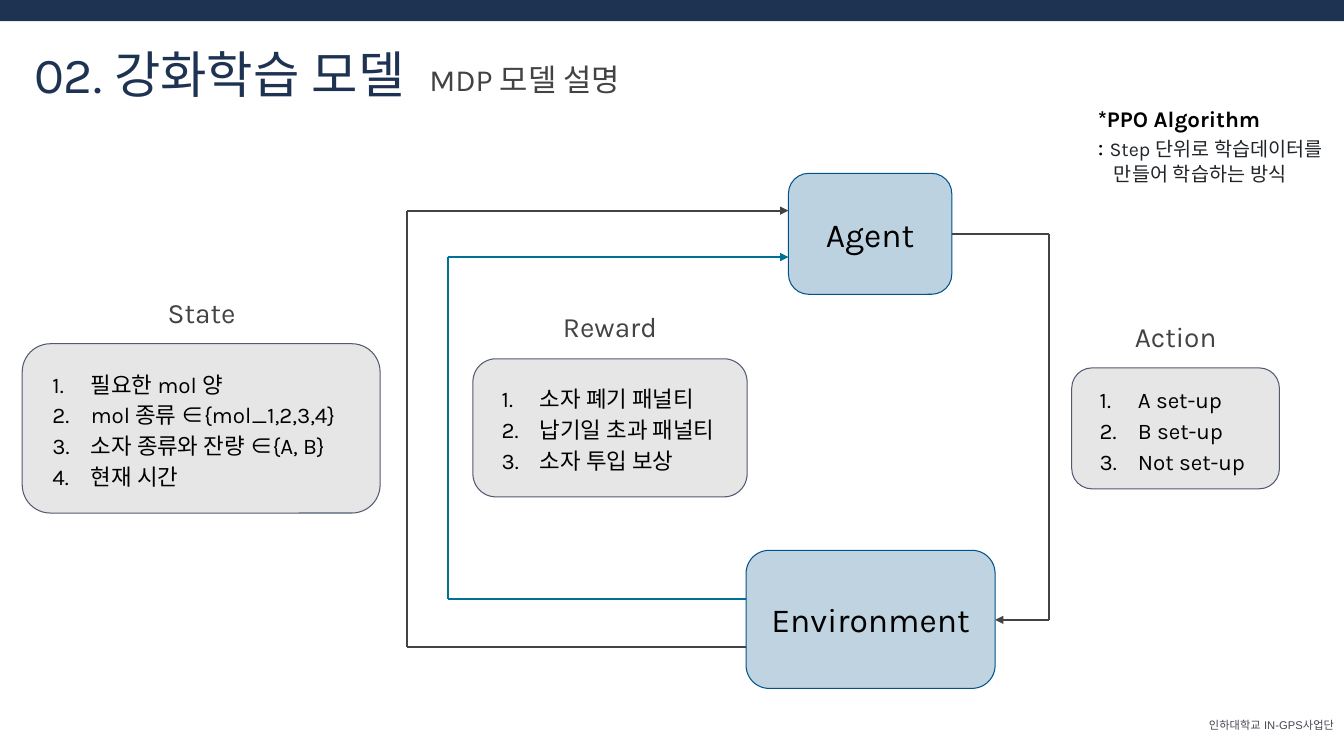
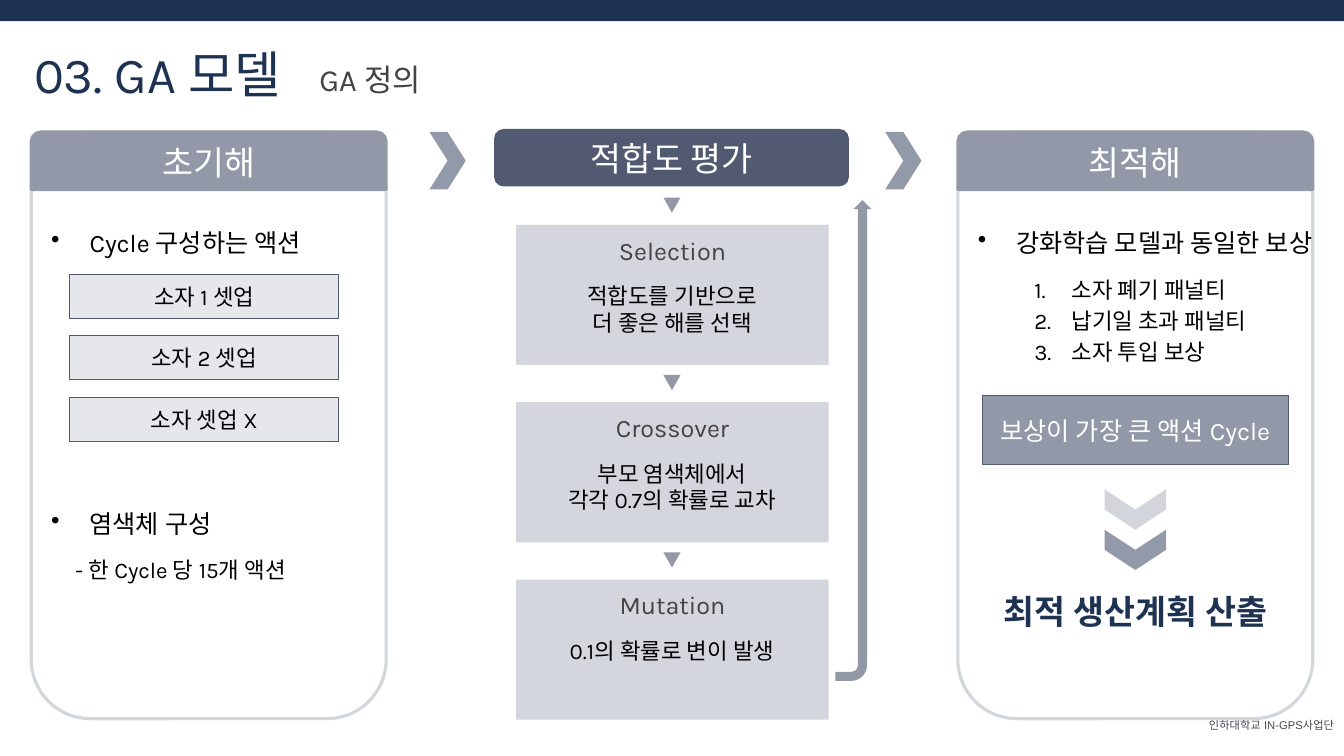
"""Build two slides: a reinforcement learning loop and a genetic algorithm flow."""
import pptx
import pptx.dml.color
import pptx.enum.shapes
import pptx.enum.text
import pptx.oxml.ns
import pptx.util
from lxml import etree

Inches = pptx.util.Inches
Pt = pptx.util.Pt
SHAPE = pptx.enum.shapes.MSO_SHAPE
ANCHOR = pptx.enum.text.MSO_ANCHOR
ALIGN = pptx.enum.text.PP_ALIGN
qn = pptx.oxml.ns.qn


class Theme:
    font = "Karla"
    navy, ink, grey, black, white = "1E3252", "223150", "434343", "000000", "FFFFFF"
    slate, steel, mist, blue, teal = "515A71", "9398A6", "D3D6DC", "005289", "007095"
    card, bar, reward_box, header = "E7E6E6", "E5E7EB", "9198A8", "9298A7"
    agent = "BDD2E0"
    styles = {
        "title": (36, navy, False),
        "subtitle": (22, grey, False),
        "node": (24, black, False),
        "header": (24, white, False),
        "result": (24, navy, True),
        "label": (20, grey, False),
        "step": (18, grey, False),
        "point": (18, black, False),
        "reward": (18, white, False),
        "body": (16, black, False),
        "strong": (16, black, True),
        "note": (14, "212529", False),
        "footer": (8, "474652", False),
    }


FOOTER = "인하대학교 IN-GPS사업단"
REWARDS = ["소자 폐기 패널티", "납기일 초과 패널티", "소자 투입 보상"]

MDP_TITLE = ("02. 강화학습 모델", "MDP 모델 설명", 4.16)
MDP_NOTE = [
    ([("*PPO Algorithm", "strong")], 0.5),
    ([(": ", "point"), ("Step 단위로 학습데이터를", "note")], 0.5),
    ([("만들어 학습하는 방식", "note")], 0.66),
]
MDP_CARDS = [
    ("State", (1.44, 2.83, 1.12, 0.67), (0.22, 3.41, 3.55, 1.68),
     ["필요한 mol 양", "mol 종류 ∈{mol_1,2,3,4}", "소자 종류와 잔량 ∈{A, B}", "현재 시간"]),
    ("Reward", (5.41, 2.97, 1.28, 0.67), (4.69, 3.56, 2.72, 1.37), REWARDS),
    ("Action", (11.1, 3.07, 1.12, 0.67), (10.63, 3.65, 2.06, 1.2),
     ["A set-up", "B set-up", "Not set-up"]),
]
MDP_NODES = [
    ("Agent", (7.82, 1.72, 1.62, 1.2), Theme.agent, None),
    ("Environment", (7.4, 5.46, 2.47, 1.37), Theme.blue, 25),
]
MDP_ROUTES = [
    (Theme.grey, [(7.4, 6.42), (4.04, 6.42), (4.04, 2.09), (7.82, 2.09)]),
    (Theme.teal, [(7.4, 5.94), (4.44, 5.94), (4.44, 2.55), (7.82, 2.55)]),
    (Theme.grey, [(9.44, 2.32), (10.4, 2.32), (10.4, 6.15), (9.87, 6.15)]),
]

GA_TITLE = ("03. GA 모델", "GA 정의", 3.07)
GA_PANELS = [("초기해", 0.31), ("최적해", 9.5)]
GA_POINTS = [
    ("Cycle 구성하는 액션", (0.29, 2.16, 3.16, 0.42)),
    ("염색체 구성", (0.29, 4.94, 3.04, 0.42)),
    ("강화학습 모델과 동일한 보상", (9.48, 2.16, 3.78, 0.42)),
]
GA_ACTIONS = ["소자 1 셋업", "소자 2 셋업", "소자 셋업 X"]
GA_STEPS = [
    ("Selection", ["적합도를 기반으로", "더 좋은 해를 선택"]),
    ("Crossover", ["부모 염색체에서", "각각 0.7의 확률로 교차"]),
    ("Mutation", ["0.1의 확률로 변이 발생"]),
]
GA_CHEVRONS = [
    ((4.26, 1.31, 0.36, 0.57), 0, 49),
    ((8.78, 1.31, 0.36, 0.57), 0, 49),
    ((11.06, 4.75, 0.4, 0.61), 90, 20),
    ((11.06, 5.15, 0.4, 0.61), 90, 49),
]


def rgb(value):
    return pptx.dml.color.RGBColor.from_string(value)


def add_run(paragraph, text, style, font_name):
    size, color, bold = Theme.styles[style]
    run = paragraph.add_run()
    run.text = text
    for name, value in {"name": font_name, "size": Pt(size), "bold": bold}.items():
        setattr(run.font, name, value)
    run.font.color.rgb = rgb(color)
    east_asian = etree.SubElement(run.font._element, qn("a:ea"))
    east_asian.set("typeface", font_name)


def add_bullet(properties, bullet):
    color = etree.SubElement(properties, qn("a:buClr"))
    etree.SubElement(color, qn("a:srgbClr")).set("val", Theme.black)
    if bullet == "number":
        etree.SubElement(properties, qn("a:buAutoNum")).set("type", "arabicPeriod")
    else:
        etree.SubElement(properties, qn("a:buChar")).set("char", bullet)


def write(shape, lines, style, align=ALIGN.LEFT, anchor=ANCHOR.TOP, margin=0.1,
          indent=0.0, hanging=0.0, spacing=None, bullet=None, font_name=Theme.font):
    frame = shape.text_frame
    settings = {
        "word_wrap": True, "vertical_anchor": anchor,
        "margin_left": Inches(0.1), "margin_right": Inches(0.1),
        "margin_top": Inches(margin), "margin_bottom": Inches(margin),
    }
    for name, value in settings.items():
        setattr(frame, name, value)
    for index, line in enumerate(lines):
        runs, left = ([(line, style)], indent) if isinstance(line, str) else line
        paragraph = frame.add_paragraph() if index else frame.paragraphs[0]
        paragraph.alignment = align
        if spacing:
            paragraph.line_spacing = spacing
        properties = paragraph._p.get_or_add_pPr()
        properties.set("marL", str(Inches(left)))
        properties.set("indent", str(Inches(-hanging)))
        if bullet:
            add_bullet(properties, bullet)
        for text, run_style in runs:
            add_run(paragraph, text, run_style, font_name)


def add_text(slide, box, lines, style, **options):
    shape = slide.shapes.add_textbox(*map(Inches, box))
    write(shape, lines, style, **options)


def add_box(slide, kind, box, fill=None, line=None, width=0.75, alpha=None,
            text=None, style=None):
    shape = slide.shapes.add_shape(kind, *map(Inches, box))
    shape.shadow.inherit = False
    if fill:
        shape.fill.solid()
        shape.fill.fore_color.rgb = rgb(fill)
    else:
        shape.fill.background()
    if alpha:
        color = shape._element.spPr.find(qn("a:solidFill")).find(qn("a:srgbClr"))
        etree.SubElement(color, qn("a:alpha")).set("val", str(alpha * 1000))
    if line:
        shape.line.color.rgb = rgb(line)
        shape.line.width = Pt(width)
    else:
        shape.line.fill.background()
    if text:
        write(shape, [text], style, align=ALIGN.CENTER, anchor=ANCHOR.MIDDLE)
    return shape


def add_route(slide, color, points):
    for index, (start, end) in enumerate(zip(points, points[1:]), start=2):
        connector = slide.shapes.add_connector(
            pptx.enum.shapes.MSO_CONNECTOR.STRAIGHT, *map(Inches, start + end))
        connector.line.color.rgb = rgb(color)
        connector.line.width = Pt(1.5)
        if index == len(points):
            line = connector.line._get_or_add_ln()
            etree.SubElement(line, qn("a:tailEnd")).set("type", "triangle")
        etree.SubElement(connector._element.spPr, qn("a:effectLst"))


def add_numbered(target, lines, indent, hanging, anchor=ANCHOR.TOP):
    write(target, lines, "body", anchor=anchor, indent=indent, hanging=hanging,
          spacing=1.15, bullet="number")


def add_page(presentation, title, subtitle, subtitle_left):
    slide = presentation.slides.add_slide(presentation.slide_layouts[6])
    add_text(slide, (11.84, 7.08, 1.49, 0.37), [FOOTER], "footer",
             align=ALIGN.RIGHT, margin=0.05, font_name="Arial")
    add_box(slide, SHAPE.RECTANGLE, (0, 0, 13.33, 0.21), Theme.navy)
    add_text(slide, (0.24, 0.38, 4.27, 0.71), [title], "title", margin=0.05)
    add_text(slide, (subtitle_left, 0.5, 4.17, 0.57), [subtitle], "subtitle")
    return slide


def build_mdp(presentation):
    slide = add_page(presentation, *MDP_TITLE)
    add_text(slide, (10.29, 0.94, 3.04, 1.01), MDP_NOTE, "note")
    for label, label_box, card_box, items in MDP_CARDS:
        add_text(slide, label_box, [label], "label", align=ALIGN.CENTER)
        card = add_box(slide, SHAPE.ROUNDED_RECTANGLE, card_box, Theme.card, Theme.slate)
        add_numbered(card, items, 0.5, 0.38, ANCHOR.MIDDLE)
    for color, points in MDP_ROUTES:
        add_route(slide, color, points)
    for name, box, fill, alpha in MDP_NODES:
        add_box(slide, SHAPE.ROUNDED_RECTANGLE, box, fill, Theme.blue,
                alpha=alpha, text=name, style="node")


def build_steps(slide):
    left, width, first_top, pitch = 5.12, 3.1, 2.23, 1.76
    add_box(slide, SHAPE.ROUNDED_RECTANGLE, (4.9, 1.28, 3.52, 0.57), Theme.slate,
            text="적합도 평가", style="header")
    for index, (name, lines) in enumerate(GA_STEPS):
        top = first_top + index * pitch
        add_box(slide, SHAPE.FLOWCHART_MERGE,
                (left + width / 2 - 0.09, top - 0.27, 0.17, 0.15), Theme.steel)
        add_box(slide, SHAPE.RECTANGLE, (left, top, width, 1.39), Theme.mist)
        add_text(slide, (left, top, width, 0.57), [name], "step", align=ALIGN.CENTER)
        add_text(slide, (left + 0.12, top + 0.47, 2.85, 0.71), lines, "body",
                 align=ALIGN.CENTER)
    arrow = add_box(slide, SHAPE.BENT_ARROW, (6.08, 4.19, 4.77, 0.36), Theme.steel)
    arrow.adjustments[3] = 0.438
    arrow.rotation = 90
    arrow._element.spPr.find(qn("a:xfrm")).set("flipH", "1")


def build_ga(presentation):
    slide = add_page(presentation, *GA_TITLE)
    for name, left in GA_PANELS:
        add_box(slide, SHAPE.FLOWCHART_ALTERNATE_PROCESS, (left, 1.31, 3.52, 5.82),
                line=Theme.mist, width=2.25)
        add_box(slide, SHAPE.ROUND_2_SAME_RECTANGLE, (left, 1.31, 3.52, 0.57),
                Theme.header, Theme.steel, 2.25, text=name, style="header")
    for text, box in GA_POINTS:
        add_text(slide, box, [text], "point", indent=0.5, hanging=0.38, bullet="•")
    for index, action in enumerate(GA_ACTIONS):
        add_box(slide, SHAPE.RECTANGLE, (0.69, 2.72 + index * 0.61, 2.67, 0.44),
                Theme.bar, Theme.slate, text=action, style="body")
    add_text(slide, (0.44, 5.38, 3.27, 1.74), ["- 한 Cycle 당 15개 액션"], "body",
             indent=0.21, spacing=1.15)
    build_steps(slide)
    rewards = slide.shapes.add_textbox(*map(Inches, (9.53, 2.6, 3.04, 0.57)))
    add_numbered(rewards, REWARDS, 1.0, 0.37)
    add_box(slide, SHAPE.RECTANGLE, (9.74, 3.92, 3.04, 0.69), Theme.reward_box,
            Theme.slate, text="보상이 가장 큰 액션 Cycle", style="reward")
    for box, rotation, alpha in GA_CHEVRONS:
        chevron = add_box(slide, SHAPE.CHEVRON, box, Theme.ink, alpha=alpha)
        chevron.rotation = rotation
    add_text(slide, (9.62, 5.76, 3.28, 0.61), ["최적 생산계획 산출"], "result",
             align=ALIGN.CENTER)


def main():
    presentation = pptx.Presentation()
    presentation.slide_width = Inches(13.33)
    presentation.slide_height = Inches(7.5)
    build_mdp(presentation)
    build_ga(presentation)
    presentation.save("out.pptx")


if __name__ == "__main__":
    main()
